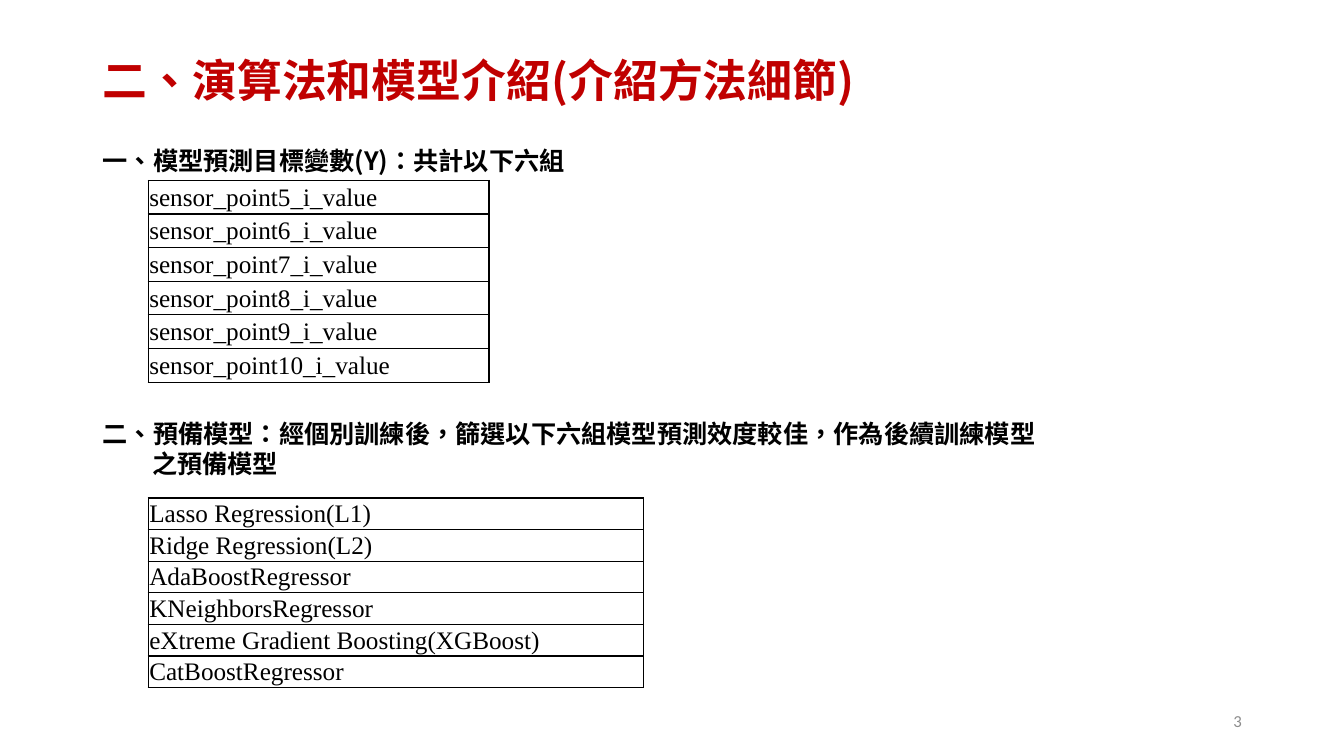
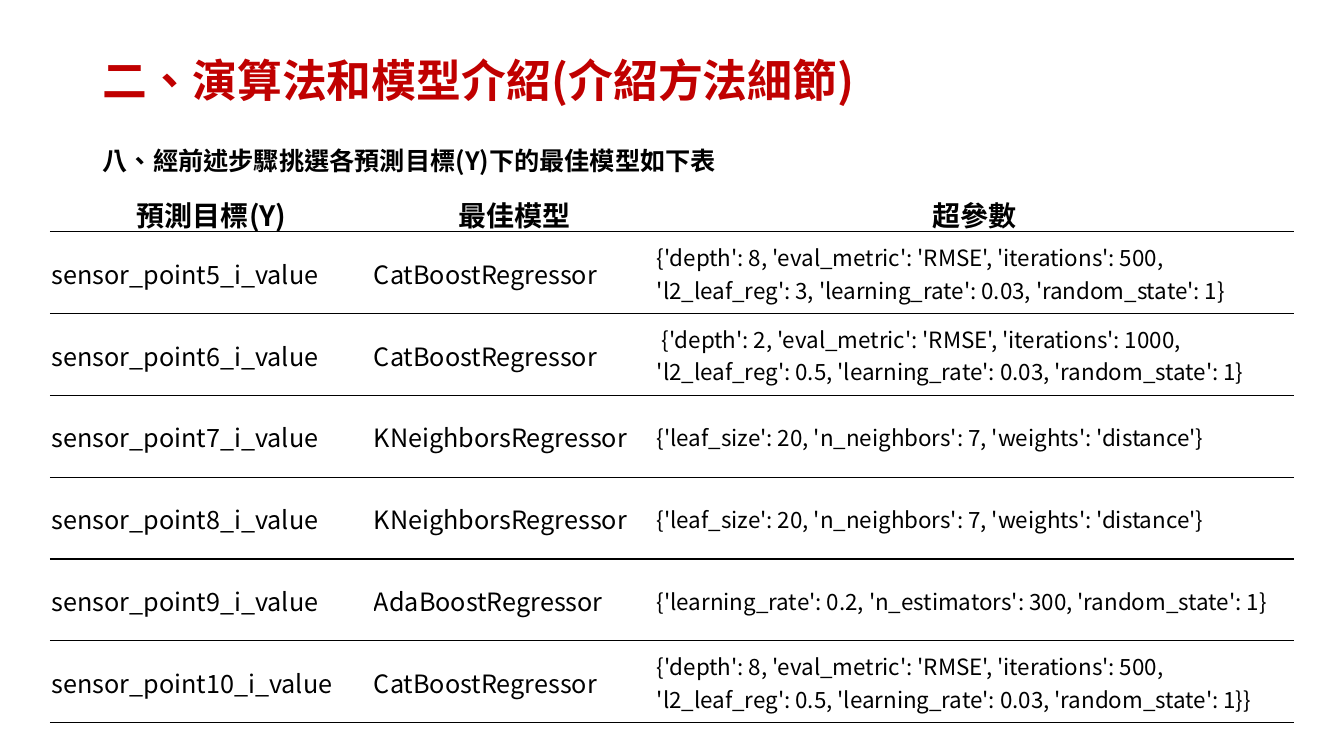
from lxml.etree import SubElement
from pptx import Presentation
from pptx.dml.color import RGBColor
from pptx.enum.text import MSO_ANCHOR as Anchor, MSO_AUTO_SIZE as AutoSize, PP_ALIGN as Align
from pptx.oxml import parse_xml
from pptx.oxml.ns import nsdecls, qn
from pptx.util import Inches, Pt

RED = RGBColor(0xC0, 0x00, 0x00)
BLACK = RGBColor(0x00, 0x00, 0x00)
WHITE = RGBColor(0xFF, 0xFF, 0xFF)
GRAY = RGBColor(0x8C, 0x8C, 0x8C)

SANS = "Noto Sans CJK SC"
SERIF = "Times New Roman"
NUMERALS = "Calibri"

# Shares of the slide, in percent of its width or height
MARGIN = 6.9
LIST_LEFT = 11.03
HEADING_TOP = 18.53
LINE_HEIGHT = 5.33

SECTION = "二、演算法和模型介紹(介紹方法細節)"
TARGETS = [f"sensor_point{number}_i_value" for number in range(5, 11)]
CANDIDATES = [
    "Lasso Regression(L1)",
    "Ridge Regression(L2)",
    "AdaBoostRegressor",
    "KNeighborsRegressor",
    "eXtreme Gradient Boosting(XGBoost)",
    "CatBoostRegressor",
]
CAT, NEIGHBORS, ADA = "CatBoostRegressor", "KNeighborsRegressor", "AdaBoostRegressor"
NEIGHBOR_SETTINGS = "{'leaf_size': 20, 'n_neighbors': 7, 'weights': 'distance'}"
BEST_MODELS = [
    (CAT, "{'depth': 8, 'eval_metric': 'RMSE', 'iterations': 500, "
          "'l2_leaf_reg': 3, 'learning_rate': 0.03, 'random_state': 1}"),
    (CAT, " {'depth': 2, 'eval_metric': 'RMSE', 'iterations': 1000, "
          "'l2_leaf_reg': 0.5, 'learning_rate': 0.03, 'random_state': 1}"),
    (NEIGHBORS, NEIGHBOR_SETTINGS),
    (NEIGHBORS, NEIGHBOR_SETTINGS),
    (ADA, "{'learning_rate': 0.2, 'n_estimators': 300, 'random_state': 1}"),
    (CAT, "{'depth': 8, 'eval_metric': 'RMSE', 'iterations': 500, "
          "'l2_leaf_reg': 0.5, 'learning_rate': 0.03, 'random_state': 1}}"),
]


class Deck:
    def __init__(self):
        self.show = Presentation()
        self.show.slide_width = Inches(13.33)
        self.show.slide_height = Inches(7.5)
        self.slide = None

    def across(self, share):
        return round(self.show.slide_width * share / 100)

    def down(self, share):
        return round(self.show.slide_height * share / 100)

    def area(self, left, top, width, height):
        return self.across(left), self.down(top), self.across(width), self.down(height)

    def add_text(self, paragraph, text, size, font=SANS, color=BLACK, bold=False, align=Align.LEFT):
        paragraph.alignment = align
        run = paragraph.add_run()
        run.text = text
        run.font.size = Pt(size)
        run.font.bold = bold
        run.font.color.rgb = color
        run.font.name = font
        properties = run._r.get_or_add_rPr()
        properties.set("lang", "zh-TW")
        SubElement(properties, qn("a:ea")).set("typeface", font)

    def new_slide(self, title):
        self.slide = self.show.slides.add_slide(self.show.slide_layouts[5])
        heading = self.slide.shapes.title
        heading.left, heading.top, heading.width, heading.height = self.area(MARGIN, 3.33, 86.25, 15.2)
        frame = heading.text_frame
        frame.auto_size = AutoSize.NONE
        frame.vertical_anchor = Anchor.MIDDLE
        frame.paragraphs[0].line_spacing = 0.9
        self.add_text(frame.paragraphs[0], title, 32, color=RED, bold=True)

    def text_box(self, left, top, width, height):
        frame = self.slide.shapes.add_textbox(*self.area(left, top, width, height)).text_frame
        frame.word_wrap = True
        return frame

    def heading(self, text, top, width, height=LINE_HEIGHT):
        """Numbered heading whose second line hangs under its text."""
        frame = self.text_box(MARGIN, top, width, height)
        frame.auto_size = AutoSize.SHAPE_TO_FIT_TEXT
        paragraph = frame.paragraphs[0]
        hanging = paragraph._p.get_or_add_pPr()
        hanging.set("marL", str(Inches(0.49)))
        hanging.set("indent", str(-Inches(0.49)))
        self.add_text(paragraph, text, 18, bold=True)

    def page_number(self, number):
        frame = self.text_box(70.65, 92.67, 22.5, LINE_HEIGHT)
        frame.vertical_anchor = Anchor.MIDDLE
        self.add_text(frame.paragraphs[0], number, 12, NUMERALS, GRAY, align=Align.RIGHT)

    def table(self, left, top, columns, rows):
        """Plain table with the given column widths and row heights."""
        place = self.area(left, top, sum(columns), sum(rows))
        grid = self.slide.shapes.add_table(len(rows), len(columns), *place).table
        grid.first_row = grid.horz_banding = False
        for column, width in zip(grid.columns, columns):
            column.width = self.across(width)
        for row, height in zip(grid.rows, rows):
            row.height = self.down(height)
        return grid

    def fill_cell(self, cell, text, size, sides=BLACK, above=BLACK, **style):
        cell.margin_left = cell.margin_top = cell.margin_right = Inches(0.01)
        cell.margin_bottom = 0
        cell.vertical_anchor = Anchor.MIDDLE
        cell.fill.background()
        borders = {"lnL": sides, "lnR": sides, "lnT": above, "lnB": BLACK}
        for position, (edge, color) in enumerate(borders.items()):
            cell._tc.get_or_add_tcPr().insert(position, parse_xml(
                f'<a:{edge} {nsdecls("a")} w="{Pt(1)}"><a:solidFill>'
                f'<a:srgbClr val="{color}"/></a:solidFill></a:{edge}>'))
        self.add_text(cell.text_frame.paragraphs[0], text, size, **style)

    def boxed_list(self, entries, top, width, row_height):
        grid = self.table(LIST_LEFT, top, [width], [row_height] * len(entries))
        for index, entry in enumerate(entries):
            self.fill_cell(grid.cell(index, 0), entry, 18, font=SERIF)

    def ruled_table(self, header, records, sizes, top, columns, header_height, row_height):
        """Table with horizontal rules only, and a bold centred header."""
        grid = self.table(3.75, top, columns, [header_height] + [row_height] * len(records))
        for column, label in enumerate(header):
            self.fill_cell(grid.cell(0, column), label, 20, WHITE, WHITE,
                           bold=True, align=Align.CENTER)
        for row, record in enumerate(records, 1):
            for column, (text, size) in enumerate(zip(record, sizes)):
                self.fill_cell(grid.cell(row, column), text, size, WHITE)


def main():
    deck = Deck()

    deck.new_slide(SECTION)
    deck.heading("一、模型預測目標變數(Y)：共計以下六組", HEADING_TOP, 55.9)
    deck.boxed_list(TARGETS, 23.87, 25.35, 4.45)
    deck.heading("二、預備模型：經個別訓練後，篩選以下六組模型預測效度較佳，作為後續訓練模型之預備模型",
                 54.67, 71.7, 9.47)
    deck.boxed_list(CANDIDATES, 65.87, 36.83, 4.18)
    deck.page_number("3")

    deck.new_slide(SECTION)
    deck.heading("八、經前述步驟挑選各預測目標(Y)下的最佳模型如下表", HEADING_TOP, 83.5)
    best = [(target, *choice) for target, choice in zip(TARGETS, BEST_MODELS)]
    deck.ruled_table(["預測目標(Y)", "最佳模型", "超參數"], best, [18, 18, 16],
                     25.47, [24, 21.05, 47.45], 5.2, 10.82)

    deck.show.save("out.pptx")


if __name__ == "__main__":
    main()
